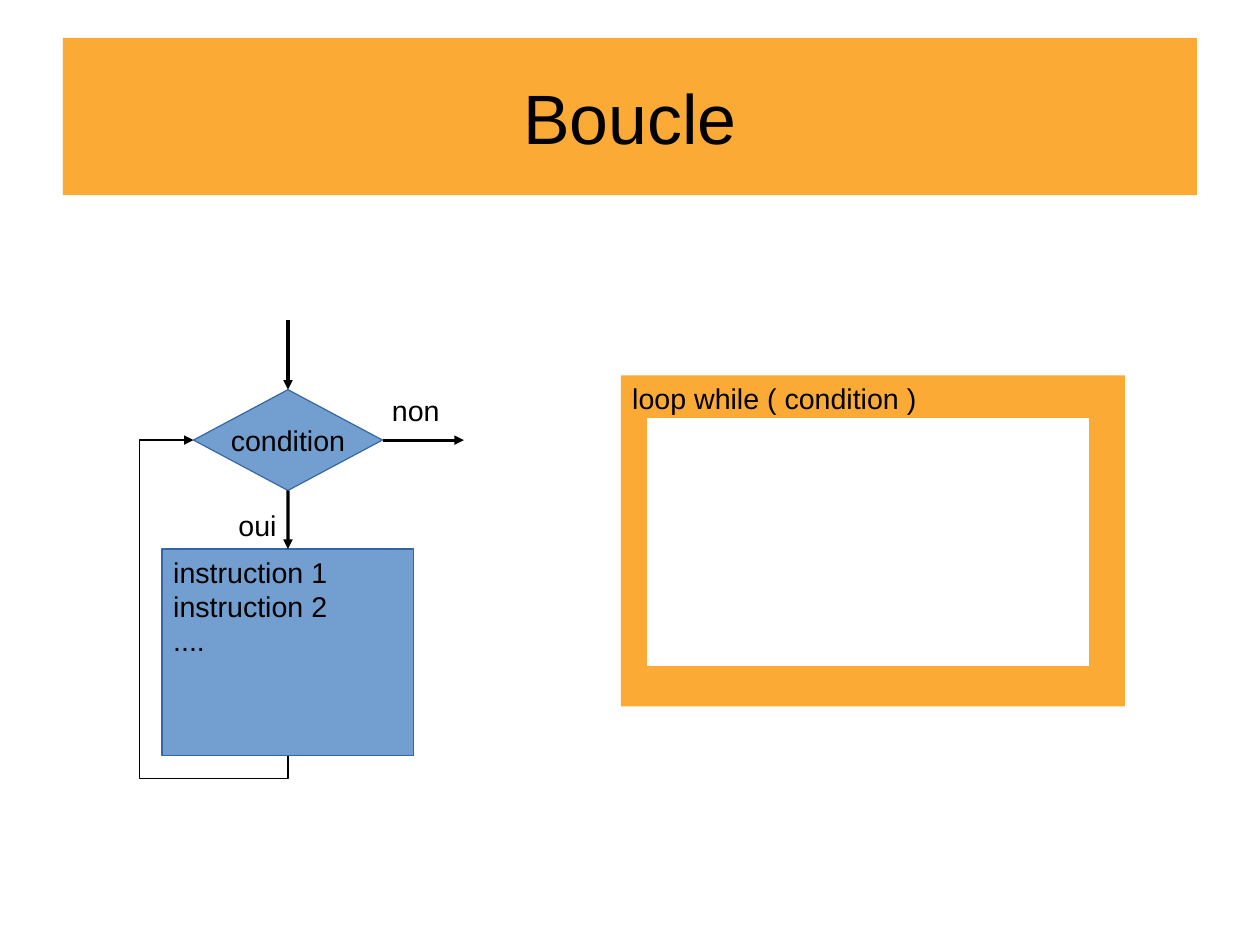
from lxml.etree import SubElement
from pptx import Presentation
from pptx.dml.color import RGBColor
from pptx.enum.shapes import MSO_CONNECTOR, MSO_SHAPE
from pptx.enum.text import MSO_ANCHOR, PP_ALIGN
from pptx.oxml.ns import qn
from pptx.util import Cm, Pt

ORANGE, BLUE, BLUE_EDGE = "FAAA35", "729FCF", "3465A4"
BLACK, WHITE = "000000", "FFFFFF"
TOP, LEFT, BOTTOM, RIGHT = range(4)  # connection sites
INSETS = dict(margin_left=Cm(0.25), margin_right=Cm(0.25),
              margin_top=Cm(0.13), margin_bottom=Cm(0.13))


def color(value):
    return RGBColor.from_string(value)


def write(box, lines, size=18, align=PP_ALIGN.LEFT, **frame_format):
    frame = box.text_frame
    values = dict(INSETS, word_wrap=True, vertical_anchor=MSO_ANCHOR.TOP)
    for name, value in (values | frame_format).items():
        setattr(frame, name, value)
    for index, line in enumerate(lines):
        para = frame.add_paragraph() if index else frame.paragraphs[0]
        para.alignment = align
        span = para.add_run()
        span.text = line
        for name, value in dict(name="Arial", size=Pt(size)).items():
            setattr(span.font, name, value)
        span.font.color.rgb = color(BLACK)


def add_block(page, kind, area, fill, edge=None):
    block = page.shapes.add_shape(kind, *map(Cm, area))
    block.shadow.inherit = False
    block.fill.solid()
    block.fill.fore_color.rgb = color(fill)
    if edge:
        block.line.color.rgb = color(edge)
        block.line.width = Pt(0)
    else:
        block.line.fill.background()
    return block


def add_label(page, area, text):
    write(page.shapes.add_textbox(*map(Cm, area)), [text])


def style_arrow(arrow):
    arrow.line.color.rgb = color(BLACK)
    arrow.line.width = Pt(0)
    SubElement(arrow.line._get_or_add_ln(), qn("a:tailEnd"), type="triangle")


def add_arrow(page, start, end, source=None, target=None):
    arrow = page.shapes.add_connector(
        MSO_CONNECTOR.STRAIGHT, *map(Cm, start + end))
    if source:
        arrow.begin_connect(*source)
    if target:
        arrow.end_connect(*target)
    style_arrow(arrow)
    SubElement(arrow._element.spPr, qn("a:effectLst"))


def add_bent_arrow(page, points):
    start, *corners = [(Cm(x), Cm(y)) for x, y in points]
    builder = page.shapes.build_freeform(*start)
    builder.add_line_segments(corners, close=False)
    arrow = builder.convert_to_shape()
    arrow.shadow.inherit = False
    arrow.fill.background()
    style_arrow(arrow)


def add_flowchart(page):
    axis, middle = 6.4, 9.78
    diamond = add_block(page, MSO_SHAPE.DIAMOND, (4.3, 8.66, 4.2, 2.24),
                        BLUE, BLUE_EDGE)
    write(diamond, ["condition"], align=PP_ALIGN.CENTER, word_wrap=False,
          vertical_anchor=MSO_ANCHOR.MIDDLE)
    body = add_block(page, MSO_SHAPE.RECTANGLE, (3.6, 12.2, 5.6, 4.6),
                     BLUE, BLUE_EDGE)
    write(body, ["instruction 1", "instruction 2", "...."])

    # Entry, "oui" and "non" branches
    add_arrow(page, (axis, 7.11), (axis, 8.66), target=(diamond, TOP))
    add_arrow(page, (axis, 10.9), (axis, 12.2),
              (diamond, BOTTOM), (body, TOP))
    add_arrow(page, (8.5, middle), (10.31, middle), (diamond, RIGHT))
    add_label(page, (8.46, 8.61, 1.85, 0.97), "non")
    add_label(page, (5.05, 11.15, 1.5, 0.97), "oui")

    # Way back to the condition
    add_bent_arrow(page, [(axis, 16.8), (axis, 17.3), (3.1, 17.3),
                          (3.1, middle), (4.3, middle)])


def main():
    deck = Presentation()
    deck.slide_width, deck.slide_height = Cm(28), Cm(21)
    page = deck.slides.add_slide(deck.slide_layouts[6])

    # Title band
    title = add_block(page, MSO_SHAPE.RECTANGLE, (1.4, 0.84, 25.2, 3.5), ORANGE)
    write(title, ["Boucle"], 44, PP_ALIGN.CENTER,
          vertical_anchor=MSO_ANCHOR.MIDDLE)

    add_flowchart(page)

    # Loop written as a nested block
    loop = add_block(page, MSO_SHAPE.RECTANGLE, (13.8, 8.34, 11.2, 7.36), ORANGE)
    write(loop, ["loop while ( condition )"])
    add_block(page, MSO_SHAPE.RECTANGLE, (14.4, 9.3, 9.8, 5.5), WHITE, WHITE)

    deck.save("out.pptx")


if __name__ == "__main__":
    main()
